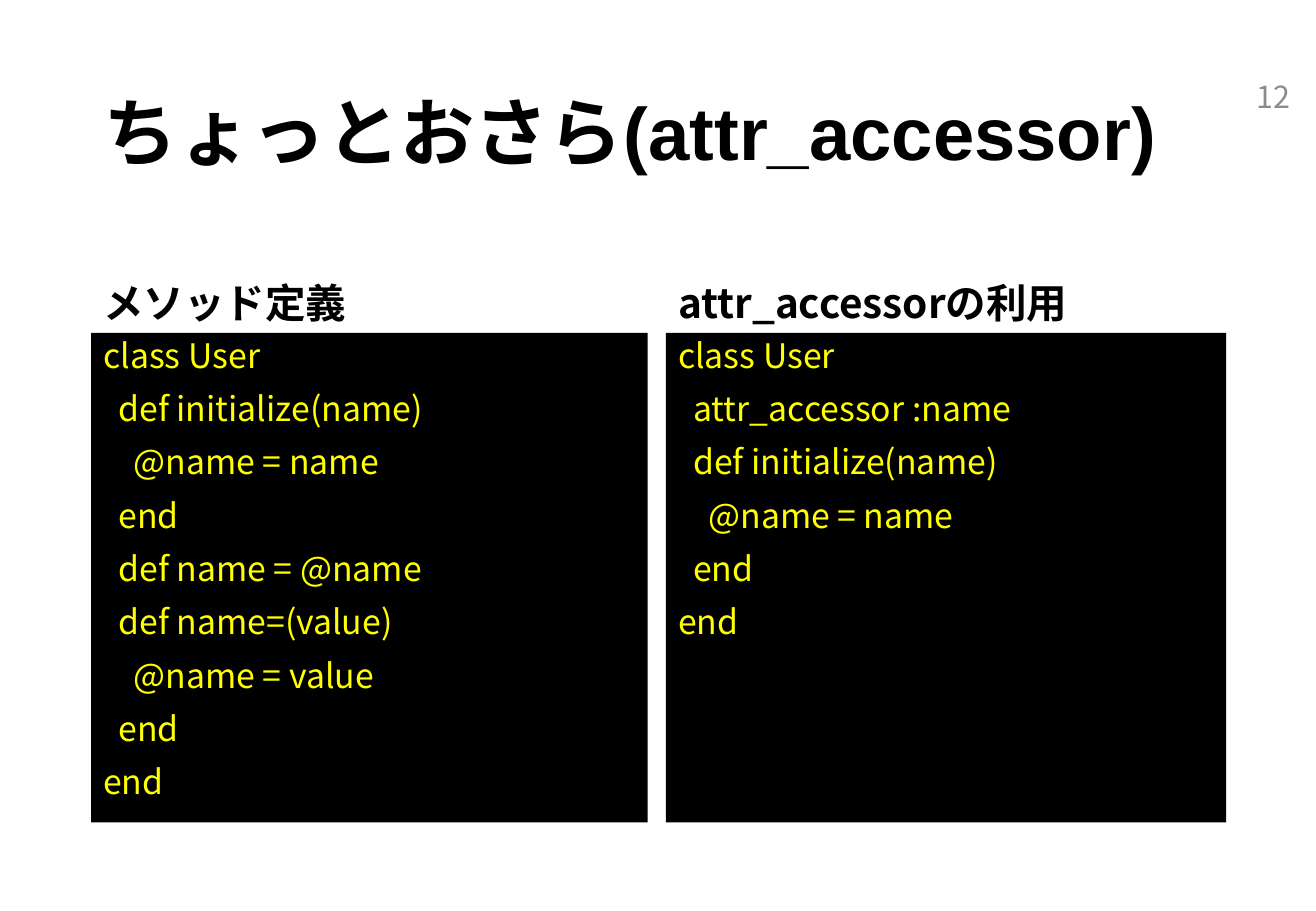
from pptx import Presentation
from pptx.dml.color import RGBColor
from pptx.enum import text as t
from pptx.oxml import ns, xmlchemy
from pptx.util import Inches, Pt

# Content: code lines are (nesting level, text)
TITLE = "ちょっとおさら(attr_accessor)"
PAGE_NUMBER = "12"
COLUMNS = [
    {"heading": "メソッド定義", "left": 0.75, "width": 4.58, "code": [
        (0, "class User"),
        (1, "def initialize(name)"),
        (2, "@name = name"),
        (1, "end"),
        (1, "def name = @name"),
        (1, "def name=(value)"),
        (2, "@name = value"),
        (1, "end"),
        (0, "end"),
    ]},
    {"heading": "attr_accessorの利用", "left": 5.48, "width": 4.61, "code": [
        (0, "class User"),
        (1, "attr_accessor :name"),
        (1, "def initialize(name)"),
        (2, "@name = name"),
        (1, "end"),
        (0, "end"),
    ]},
]

# Style and layout
COLORS = {"ink": "000000", "code": "FFFF00", "panel": "000000", "number": "8C8C8C"}
JAPANESE_FONT = "Noto Sans CJK JP"
CODE_INDENT = 0.125
HEADING_TOP, HEADING_HEIGHT = 1.84, 0.9
CODE_TOP, CODE_HEIGHT = HEADING_TOP + HEADING_HEIGHT, 4.03


def place(part, left, top, width, height):
    part.left, part.top = Inches(left), Inches(top)
    part.width, part.height = Inches(width), Inches(height)


def write(part, lines, *, size, color, font=JAPANESE_FONT, bold=False,
          anchor=t.MSO_ANCHOR.TOP, align=t.PP_ALIGN.LEFT, before=0, spacing=0.9):
    """Fill a part with (nesting level, text) lines in one format."""
    frame = part.text_frame
    frame.word_wrap = True
    frame.auto_size = t.MSO_AUTO_SIZE.NONE
    frame.vertical_anchor = anchor
    for number, (level, line) in enumerate(lines):
        paragraph = frame.add_paragraph() if number else frame.paragraphs[0]
        paragraph.alignment = align
        paragraph.line_spacing = spacing
        paragraph.space_before = Pt(before)
        properties = paragraph._p.get_or_add_pPr()
        properties.set("marL", str(Inches(level * CODE_INDENT)))
        properties.set("indent", "0")
        properties.append(xmlchemy.OxmlElement("a:buNone"))
        run = paragraph.add_run()
        run.text = line
        run.font.size, run.font.bold, run.font.name = Pt(size), bold, font
        run.font.color.rgb = RGBColor.from_string(COLORS[color])
        east_asian = xmlchemy.OxmlElement("a:ea")
        east_asian.set("typeface", JAPANESE_FONT)
        run._r.rPr.find(ns.qn("a:latin")).addnext(east_asian)


deck = Presentation()
deck.slide_width, deck.slide_height = Inches(10.83), Inches(7.5)
slide = deck.slides.add_slide(deck.slide_layouts.get_by_name("Comparison"))
title, *column_parts = slide.placeholders

# Title
place(title, 0.75, 0.4, 9.34, 1.45)
write(title, [(0, TITLE)], size=44, color="ink", font="Arial", bold=True,
      anchor=t.MSO_ANCHOR.MIDDLE)

# Two columns: heading above a code panel
for column, heading, code in zip(COLUMNS, column_parts[::2], column_parts[1::2]):
    left, width = column["left"], column["width"]
    place(heading, left, HEADING_TOP, width, HEADING_HEIGHT)
    write(heading, [(0, column["heading"])], size=24, color="ink", bold=True,
          anchor=t.MSO_ANCHOR.BOTTOM, before=10)
    place(code, left, CODE_TOP, width, CODE_HEIGHT)
    code.fill.solid()
    code.fill.fore_color.rgb = RGBColor.from_string(COLORS["panel"])
    write(code, column["code"], size=20, color="code", before=10)

# Page number
page_number = slide.shapes.add_textbox(Inches(10.09), Inches(0.39), Inches(0.63), Inches(0.8))
write(page_number, [(0, PAGE_NUMBER)], size=18, color="number",
      anchor=t.MSO_ANCHOR.MIDDLE, align=t.PP_ALIGN.RIGHT, spacing=1.0)

deck.save("out.pptx")
